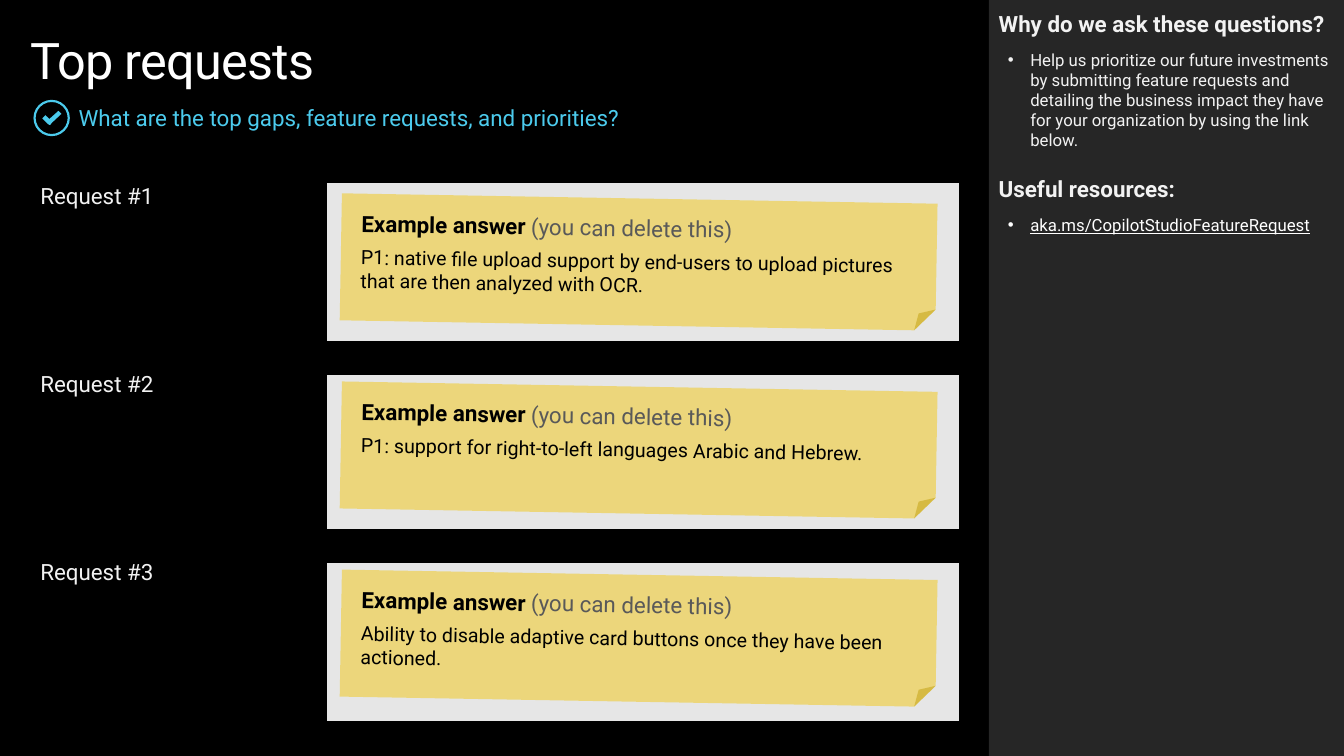
"""Build the "Top requests" slide with three example answers and a help panel."""
from dataclasses import dataclass
from typing import Any

from lxml import etree
from pptx import Presentation
from pptx.dml.color import RGBColor
from pptx.enum import shapes, text
from pptx.oxml import ns
from pptx.util import Pt

FONT = "Roboto"
ACCENT = "4CCBED"
LIGHT = "F2F2F2"
BLACK = "000000"
NO_GRID_STYLE = "{2D5ABB26-0587-4C30-8999-92F81FD0307C}"
PANEL_LEFT, PANEL_WIDTH = 706.3, 254
ROW_HEIGHT, GAP_HEIGHT = 115.2, 19.2
CHECK_MARK = [(41.8, 79.2), (35.3, 85), (32.4, 82.3), (30.2, 84.6),
              (34.6, 88.9), (35.8, 89.4), (37, 87.8), (43.9, 81.4)]


@dataclass
class Request:
    """One request label with its example answer."""
    label: str
    answer: str


@dataclass
class PanelSection:
    """One heading of the help panel with its bullet."""
    heading: str
    bullet: str
    space_before: float = 0
    color: str = LIGHT
    underline: bool = False


REQUESTS = [
    Request("Request #1", "P1: native file upload support by end-users to upload "
            "pictures that are then analyzed with OCR."),
    Request("Request #2", "P1: support for right-to-left languages Arabic and Hebrew."),
    Request("Request #3", "Ability to disable adaptive card buttons once they have "
            "been actioned."),
]
SECTIONS = [
    PanelSection("Why do we ask these questions?",
                 "Help us prioritize our future investments by submitting feature "
                 "requests and detailing the business impact they have for your "
                 "organization by using the link below."),
    PanelSection("Useful resources:", "aka.ms/CopilotStudioFeatureRequest",
                 space_before=18, color="FFFFFF", underline=True),
]


def add_child(parent: Any, tag: str, **attributes: str) -> Any:
    """Append a drawing element to its parent."""
    return etree.SubElement(parent, ns.qn(tag), attributes)


def set_fill(target: Any, color: str) -> None:
    """Fill a shape, cell or background with a solid colour."""
    target.fill.solid()
    target.fill.fore_color.rgb = RGBColor.from_string(color)


def style_shape(shape: Any, color: str) -> None:
    """Give a shape a flat fill with no line and no shadow."""
    set_fill(shape, color)
    shape.line.fill.background()
    shape.shadow.inherit = False


def set_margins(target: Any, left: float = 0, top: float = 0,
                right: float = 0, bottom: float = 0) -> None:
    """Set the inner margins of a text frame or cell."""
    target.margin_left, target.margin_top = Pt(left), Pt(top)
    target.margin_right, target.margin_bottom = Pt(right), Pt(bottom)


def add_text(paragraph: Any, content: str, *, size: float, color: str,
             bold: bool = False, underline: bool = False, spacing: int = 0) -> None:
    """Add a formatted run to a paragraph."""
    run = paragraph.add_run()
    run.text = content
    font = run.font
    font.name, font.size, font.bold = FONT, Pt(size), bold
    font.color.rgb = RGBColor.from_string(color)
    if underline:
        font.underline = True
    if spacing:
        font._element.set("spc", str(spacing))


def add_box(slide: Any, left: float, top: float, width: float, height: float,
            margin: float = 0) -> Any:
    """Add a wrapping text box and return its text frame."""
    frame = slide.shapes.add_textbox(Pt(left), Pt(top), Pt(width), Pt(height)).text_frame
    frame.word_wrap = True
    set_margins(frame, margin, margin, margin, margin)
    return frame


def add_heading(slide: Any) -> None:
    """Add the title, the check icon and the question."""
    title = add_box(slide, 21.6, 21, 663, 44)
    add_text(title.paragraphs[0], "Top requests", size=36, color="FFFFFF", spacing=-50)
    ring = slide.shapes.add_shape(shapes.MSO_SHAPE.DONUT, Pt(23.9), Pt(71.3), Pt(26), Pt(26))
    ring.adjustments[0] = 0.06
    style_shape(ring, ACCENT)
    builder = slide.shapes.build_freeform(Pt(CHECK_MARK[0][0]), Pt(CHECK_MARK[0][1]))
    builder.add_line_segments([(Pt(x), Pt(y)) for x, y in CHECK_MARK[1:]])
    style_shape(builder.convert_to_shape(), ACCENT)
    question = add_box(slide, 56.2, 74.2, 628.6, 19.4)
    question.vertical_anchor = text.MSO_ANCHOR.MIDDLE
    add_text(question.paragraphs[0],
             "What are the top gaps, feature requests, and priorities?",
             size=16, color=ACCENT)


def add_cell_border(cell: Any, tag: str) -> None:
    """Insert a thick black border ahead of the cell fill."""
    properties = cell._tc.get_or_add_tcPr()
    line = add_child(properties, tag, w=str(Pt(6)))
    add_child(add_child(line, "a:solidFill"), "a:srgbClr", val=BLACK)
    borders = properties.findall(ns.qn("a:lnT")) + properties.findall(ns.qn("a:lnB"))
    for position, border in enumerate(borders):
        properties.insert(position, border)


def add_request_table(slide: Any) -> None:
    """Add the table of labels and answer areas, with thin rows between."""
    row_count = 2 * len(REQUESTS) - 1
    frame = slide.shapes.add_table(row_count, 2, Pt(28.8), Pt(131), Pt(655.9),
                                   Pt(3 * ROW_HEIGHT + 2 * GAP_HEIGHT))
    table = frame.table
    table.first_row = table.horz_banding = False
    table._tbl.tblPr.find(ns.qn("a:tableStyleId")).text = NO_GRID_STYLE
    for column, width in zip(table.columns, (204.5, 451.4)):
        column.width = Pt(width)
    for index, row in enumerate(table.rows):
        is_gap = index % 2 == 1
        row.height = Pt(GAP_HEIGHT if is_gap else ROW_HEIGHT)
        for cell in row.cells:
            set_margins(cell, right=7.2)
            set_fill(cell, BLACK)
            if index > 0:
                add_cell_border(cell, "a:lnT")
            if index < row_count - 1:
                add_cell_border(cell, "a:lnB")
        label, answer = row.cells
        empty_cells = [label, answer] if is_gap else [answer]
        for cell in empty_cells:
            add_child(cell.text_frame.paragraphs[0]._p, "a:endParaRPr", sz="800")
        if not is_gap:
            set_fill(answer, "E6E6E6")
            add_text(label.text_frame.paragraphs[0], REQUESTS[index // 2].label,
                     size=16, color=LIGHT)


def add_note(slide: Any, top: float, answer: str) -> None:
    """Add a tilted sticky note with an example answer."""
    note = slide.shapes.add_shape(shapes.MSO_SHAPE.FOLDED_CORNER,
                                  Pt(243.4), Pt(top), Pt(425.5), Pt(90.7))
    note.rotation = 1
    style_shape(note, "F2C811")
    color = note._element.spPr.find(ns.qn("a:solidFill")).find(ns.qn("a:srgbClr"))
    add_child(color, "a:alpha", val="50000")
    frame = note.text_frame
    frame.word_wrap = True
    frame.vertical_anchor = text.MSO_ANCHOR.TOP
    set_margins(frame, 14.4, 11.5, 14.4, 11.5)
    heading, body = frame.paragraphs[0], frame.add_paragraph()
    for paragraph in (heading, body):
        paragraph.alignment = text.PP_ALIGN.LEFT
        paragraph.space_after = Pt(6)
    add_text(heading, "Example answer ", size=16, color=BLACK, bold=True)
    add_text(heading, "(you can delete this)", size=16, color="595959")
    add_text(body, answer, size=14, color=BLACK)


def add_panel(slide: Any) -> None:
    """Add the help panel text."""
    frame = add_box(slide, PANEL_LEFT, 0, PANEL_WIDTH, 176.4, margin=7.2)
    for index, section in enumerate(SECTIONS):
        heading = frame.add_paragraph() if index else frame.paragraphs[0]
        heading.space_before, heading.space_after = Pt(section.space_before), Pt(6)
        add_text(heading, section.heading, size=16, color=LIGHT, bold=True)
        bullet = frame.add_paragraph()
        bullet.space_before = Pt(3)
        properties = bullet._p.get_or_add_pPr()
        properties.set("marL", str(Pt(22.5)))
        properties.set("indent", str(Pt(-16)))
        add_child(properties, "a:buFont", typeface="Arial")
        add_child(properties, "a:buChar", char="•")
        add_text(bullet, section.bullet, size=12, color=section.color,
                 underline=section.underline)


def main() -> None:
    """Assemble and save the slide."""
    presentation = Presentation()
    presentation.slide_width, presentation.slide_height = Pt(960), Pt(540)
    slide = presentation.slides.add_slide(presentation.slide_layouts[6])
    set_fill(slide.background, BLACK)
    panel = slide.shapes.add_shape(shapes.MSO_SHAPE.RECTANGLE, Pt(PANEL_LEFT), Pt(0),
                                   Pt(PANEL_WIDTH), Pt(541.4))
    style_shape(panel, "262626")
    add_heading(slide)
    add_request_table(slide)
    add_panel(slide)
    for index, request in enumerate(REQUESTS):
        add_note(slide, 141.8 + index * (ROW_HEIGHT + GAP_HEIGHT), request.answer)
    presentation.save("out.pptx")


if __name__ == "__main__":
    main()
